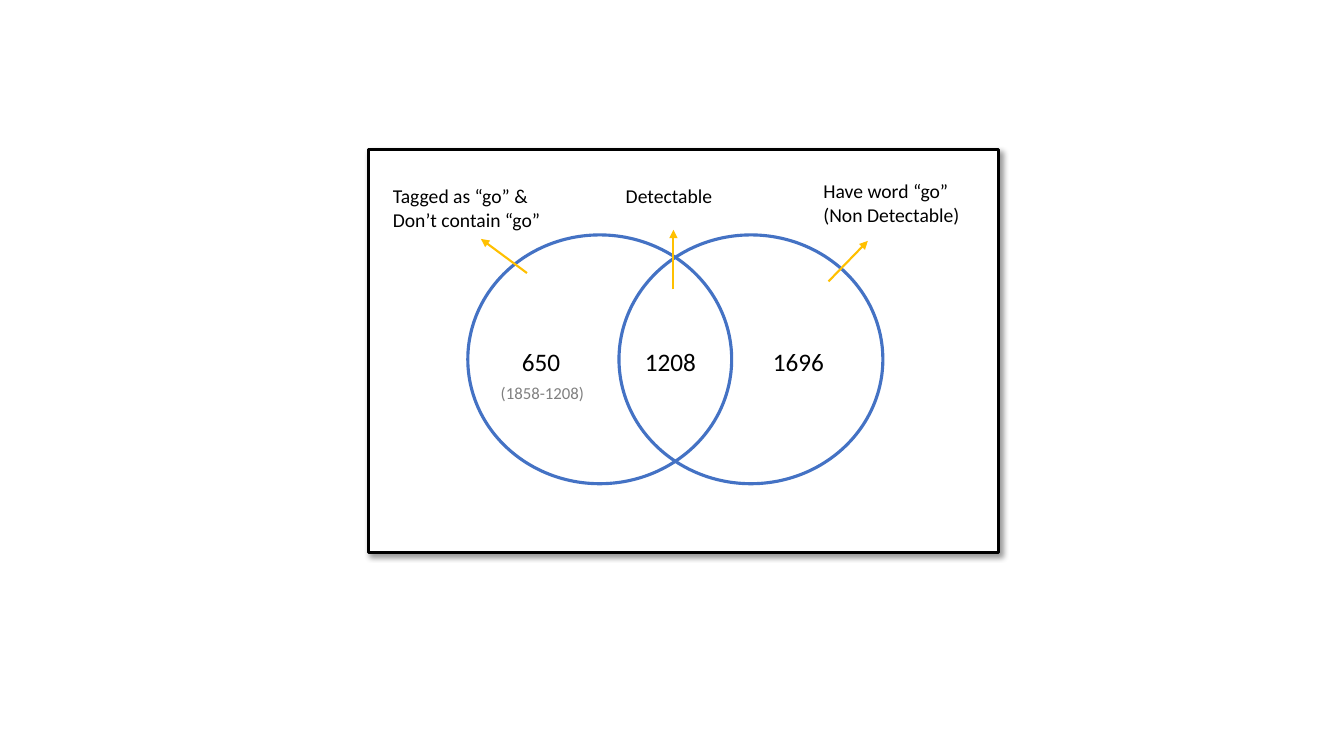
"""Build a Venn diagram slide of tagged and detectable "go" counts."""
import pptx
import pptx.util
import pptx.dml.color
import pptx.enum.shapes
import pptx.enum.text
import pptx.oxml
import pptx.oxml.ns
from lxml import etree

Cm, Pt = pptx.util.Cm, pptx.util.Pt
Kind = pptx.enum.shapes.MSO_SHAPE
qn = pptx.oxml.ns.qn


def paint(fill, color):
    fill.solid()
    fill.fore_color.rgb = pptx.dml.color.RGBColor.from_string(color)


def write(text, left, top, width, height, size=14, color="000000"):
    box = slide.shapes.add_textbox(Cm(left), Cm(top), Cm(width), Cm(height))
    frame = box.text_frame
    frame.word_wrap = False
    frame.auto_size = pptx.enum.text.MSO_AUTO_SIZE.SHAPE_TO_FIT_TEXT
    frame.text = text
    for para in frame.paragraphs:
        para.font.size = Pt(size)
        para.font.name = "Calibri"
        paint(para.font.fill, color)


deck = pptx.Presentation()
deck.slide_width, deck.slide_height = Cm(33.87), Cm(19.05)
slide = deck.slides.add_slide(deck.slide_layouts[6])

panel = slide.shapes.add_shape(Kind.RECTANGLE, Cm(9.28), Cm(3.77), Cm(15.88), Cm(10.16))
paint(panel.fill, "FFFFFF")
paint(panel.line.fill, "000000")
panel.line.width = Pt(2.25)
panel.shadow.inherit = False
glow = panel._element.spPr.find(qn("a:effectLst"))
shade = etree.SubElement(glow, qn("a:outerShdw"), blurRad=str(Pt(4)), dist=str(Pt(3)),
                         dir="2700000", algn="tl", rotWithShape="0")
tint = etree.SubElement(shade, qn("a:srgbClr"), val="000000")
etree.SubElement(tint, qn("a:alpha"), val="40000")

for left in (11.79, 15.6):
    ring = slide.shapes.add_shape(Kind.OVAL, Cm(left), Cm(5.92), Cm(6.65), Cm(6.27))
    ring.fill.background()
    paint(ring.line.fill, "4472C4")
    ring.line.width = Pt(2.25)
    ring.shadow.inherit = False

for count, left, width in (("650", 12.9, 1.5), ("1208", 16, 1.8), ("1696", 19.23, 1.8)):
    write(count, left, 8.59, width, 1.02, size=18)
write("(1858-1208)", 12.37, 9.53, 2.64, 0.76, size=12, color="808080")

for ends in ((13.28, 6.88, 12.12, 6.02), (20.88, 7.09, 21.87, 6.07), (16.97, 7.29, 16.97, 5.79)):
    arrow = slide.shapes.add_connector(pptx.enum.shapes.MSO_CONNECTOR.STRAIGHT, *map(Cm, ends))
    paint(arrow.line.fill, "FFC000")
    arrow.line.width = Pt(1.5)
    etree.SubElement(arrow.line._get_or_add_ln(), qn("a:tailEnd"), type="triangle")
    etree.SubElement(arrow._element.spPr, qn("a:effectLst"))

write("Tagged as “go” &\nDon’t contain “go”", 9.65, 4.52, 4.27, 1.45)
write("Have word “go”\n(Non Detectable)", 20.5, 4.39, 3.99, 1.45)
write("Detectable", 15.52, 4.5, 2.72, 0.86)

deck.save("out.pptx")
